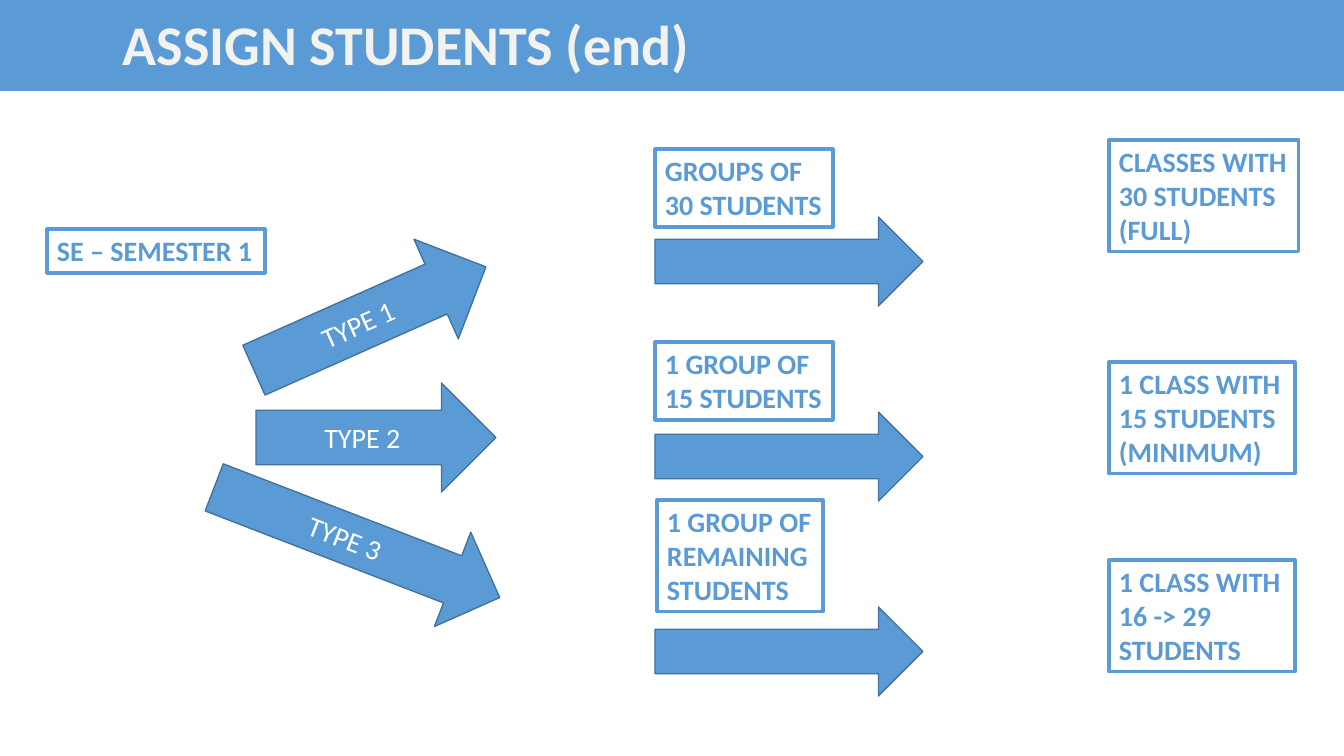
"""Build the slide that shows how students are assigned to groups and classes."""
import dataclasses

import pptx
import pptx.dml.color
import pptx.enum.shapes
import pptx.enum.text
import pptx.util

ARROW = pptx.enum.shapes.MSO_SHAPE.RIGHT_ARROW
RECTANGLE = pptx.enum.shapes.MSO_SHAPE.RECTANGLE
LEFT = pptx.enum.text.PP_ALIGN.LEFT
CENTER = pptx.enum.text.PP_ALIGN.CENTER
EMU_PER_PX = 914400 / 100.8


@dataclasses.dataclass(frozen=True)
class Theme:
    blue: str = "5B9BD5"
    edge: str = "43739E"
    white: str = "FFFFFF"
    heading: str = "F2F2EF"
    font: str = "Calibri"
    title_size: int = 40
    label_size: int = 20


theme = Theme()


def px(length):
    return pptx.util.Emu(round(length * EMU_PER_PX))


def add_label(text, *, kind, bounds, fill=theme.blue, line=None, width=1, color=theme.white,
              size=theme.label_size, bold=False, align=LEFT, rotation=0, inset=10, fit=False):
    shape = page.shapes.add_shape(kind, *map(px, bounds))
    shape.shadow.inherit = False
    shape.rotation = rotation
    shape.fill.solid()
    shape.fill.fore_color.rgb = pptx.dml.color.RGBColor.from_string(fill)
    if line:
        shape.line.color.rgb = pptx.dml.color.RGBColor.from_string(line)
        shape.line.width = pptx.util.Pt(width)
    else:
        shape.line.fill.background()

    frame = shape.text_frame
    frame.margin_left = px(inset)
    frame.word_wrap = not fit
    frame.vertical_anchor = pptx.enum.text.MSO_ANCHOR.MIDDLE
    if fit:
        frame.vertical_anchor = pptx.enum.text.MSO_ANCHOR.TOP
        frame.auto_size = pptx.enum.text.MSO_AUTO_SIZE.SHAPE_TO_FIT_TEXT
    frame.text = text
    for para in frame.paragraphs:
        para.alignment = align
        for span in para.runs:
            span.font.name = theme.font
            span.font.size = pptx.util.Pt(size)
            span.font.bold = bold
            span.font.color.rgb = pptx.dml.color.RGBColor.from_string(color)


deck = pptx.Presentation()
deck.slide_width = px(1344)
deck.slide_height = px(756)
page = deck.slides.add_slide(deck.slide_layouts[6])

add_label("ASSIGN STUDENTS (end)", kind=ARROW, bounds=(0, -51, 1483, 189),
          color=theme.heading, size=theme.title_size, bold=True, inset=123)

type_arrows = [
    ("TYPE 1", (243, 264, 254, 109), 336),
    ("TYPE 2", (256, 383, 240, 109), 0),
    ("TYPE 3", (204, 492, 306, 101), 21.1),
]
for text, bounds, rotation in type_arrows:
    add_label(text, kind=ARROW, bounds=bounds, line=theme.edge, align=CENTER, rotation=rotation)

for row in range(3):
    add_label("", kind=ARROW, bounds=(655, 217 + 195 * row, 268, 89), line=theme.edge)

outlined_boxes = [
    ("SE – SEMESTER 1", (47, 229, 218, 44)),
    ("GROUPS OF\n30 STUDENTS", (655, 149, 178, 78)),
    ("1 GROUP OF\n15 STUDENTS", (655, 342, 178, 78)),
    ("1 GROUP OF\nREMAINING\nSTUDENTS", (657, 500, 166, 112)),
    ("CLASSES WITH\n30 STUDENTS\n(FULL)", (1109, 140, 190, 112)),
    ("1 CLASS WITH\n15 STUDENTS\n(MINIMUM)", (1109, 362, 186, 112)),
    ("1 CLASS WITH\n16 -> 29\nSTUDENTS", (1109, 560, 186, 112)),
]
for text, bounds in outlined_boxes:
    add_label(text, kind=RECTANGLE, bounds=bounds, fill=theme.white, line=theme.blue,
              width=2.25, color=theme.blue, bold=True, fit=True)

deck.save("out.pptx")
